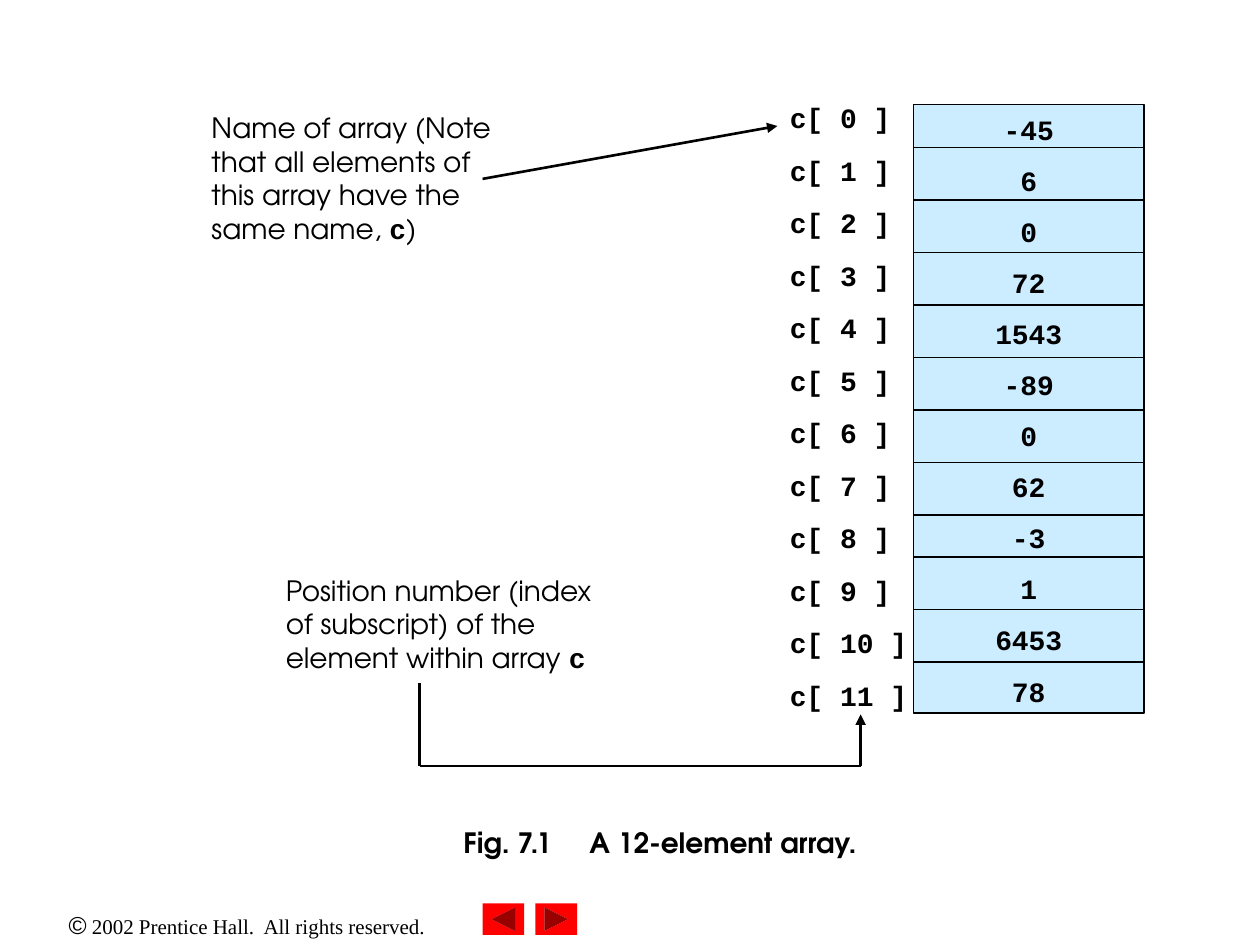
import copy

import pptx
import pptx.dml.color
import pptx.enum.shapes
import pptx.enum.text
import pptx.oxml.ns
import pptx.util
from lxml import etree
from pptx.util import Inches

SHAPE = pptx.enum.shapes.MSO_SHAPE
ALIGN = pptx.enum.text.PP_ALIGN
qn = pptx.oxml.ns.qn

SANS, MONO = "TeX Gyre Adventor", "Courier New"
BLACK, RED, PALE_BLUE = "000000", "FF0000", "CCECFF"
VALUES = [-45, 6, 0, 72, 1543, -89, 0, 62, -3, 1, 6453, 78]
ROW = 5 / 12
LEFT, RIGHT, TOP = 7.25, 9.08, 0.83


def rgb(value):
    return pptx.dml.color.RGBColor.from_string(value)


class Figure:
    def __init__(self, s):
        self.s = s

    def font(self, r, name=SANS, size=16, bold=False):
        r.font.name, r.font.size, r.font.bold = name, pptx.util.Pt(size), bold
        r.font.color.rgb = rgb(BLACK)

    def text(self, x, y, w, h, *pieces, align=ALIGN.LEFT, wrap=True):
        """Add a one-paragraph box; each piece is (text, font, size, bold)."""
        sp = self.s.shapes.add_textbox(Inches(x), Inches(y), Inches(w), Inches(h))
        tf = sp.text_frame
        tf.word_wrap = wrap
        p = tf.paragraphs[0]
        p.alignment = align
        p.text = pieces[0][0]
        for r in p.runs:
            self.font(r, *pieces[0][1:])
        for content, *style in pieces[1:]:
            r = p.add_run()
            r.text = content
            self.font(r, *style)
        # Line breaks need the run size too, or they take the default one
        for br in p._p.findall(qn("a:br")):
            br.append(copy.deepcopy(p.runs[0]._r.rPr))

    def shape(self, kind, x, y, w, h, fill):
        sp = self.s.shapes.add_shape(kind, Inches(x), Inches(y), Inches(w), Inches(h))
        sp.shadow.inherit = False
        sp.fill.solid()
        sp.fill.fore_color.rgb = rgb(fill)
        sp.line.fill.background()
        return sp

    def array(self, x, y, w, h, values):
        sp = self.shape(SHAPE.RECTANGLE, x, y, w, h, PALE_BLUE)
        sp.line.color.rgb = rgb(BLACK)
        sp.line.width = pptx.util.Pt(0.75)
        tf = sp.text_frame
        tf.word_wrap = True
        tf.vertical_anchor = pptx.enum.text.MSO_ANCHOR.TOP
        tf.margin_top = Inches(0.06)
        tf.text = "\n".join(map(str, values))
        for i, p in enumerate(tf.paragraphs):
            p.alignment = ALIGN.CENTER
            p.space_before = pptx.util.Pt(10 if i else 0)
            self.font(p.runs[0], MONO, 16, True)

    def line(self, x1, y1, x2, y2, width=1.5, arrow=False):
        cn = self.s.shapes.add_connector(
            pptx.enum.shapes.MSO_CONNECTOR.STRAIGHT,
            Inches(x1), Inches(y1), Inches(x2), Inches(y2))
        cn.line.color.rgb = rgb(BLACK)
        cn.line.width = pptx.util.Pt(width)
        if arrow:
            etree.SubElement(cn.line._get_or_add_ln(), qn("a:tailEnd"), type="triangle")
        etree.SubElement(cn._element.spPr, qn("a:effectLst"))


def main():
    prs = pptx.Presentation()
    prs.slide_width, prs.slide_height = Inches(10), Inches(7.5)
    fig = Figure(prs.slides.add_slide(prs.slide_layouts[6]))

    fig.text(0, 7.17, 3.92, 0.34, ("©", "Arial", 14),
             (" 2002 Prentice Hall.  All rights reserved.", "Times New Roman", 12),
             align=ALIGN.CENTER)
    for x, turn in ((4.25, 0), (3.83, 180)):
        button = fig.shape(SHAPE.ACTION_BUTTON_FORWARD_OR_NEXT, x, 7.17, 0.33, 0.25, RED)
        button.rotation = turn
    fig.text(3.58, 6.5, 3.42, 0.37, ("Fig. 7.1\tA 12-element array.", SANS, 16, True))

    fig.array(LEFT, TOP, RIGHT - LEFT, 4.83, VALUES)
    # The first and ninth cells are shorter, so the dividers form two even groups
    for start, count in ((1.17, 8), (4.42, 3)):
        for i in range(count):
            y = start + i * ROW
            fig.line(LEFT, y, RIGHT, y, 0.75)
    for i in range(len(VALUES)):
        fig.text(6.17, 0.75 + i * ROW, 1 if i < 10 else 1.13, 0.37,
                 (f"c[ {i} ]", MONO, 16, True), wrap=False)

    fig.text(1.58, 0.83, 2.75, 1.17,
             ("Name of array (Note\vthat all elements of\vthis array have the\vsame name, ",),
             ("c", MONO, 16, True), (")",))
    fig.text(2.17, 4.5, 2.63, 0.9,
             ("Position number (index\vof subscript) of the \velement within array ",),
             ("c", MONO, 16, True), wrap=False)

    fig.line(3.83, 1.42, 6.17, 1, arrow=True)
    fig.line(3.33, 5.42, 3.33, 6.08)
    fig.line(3.33, 6.08, 6.83, 6.08)
    fig.line(6.83, 6.08, 6.83, 5.67, arrow=True)
    prs.save("out.pptx")


if __name__ == "__main__":
    main()
